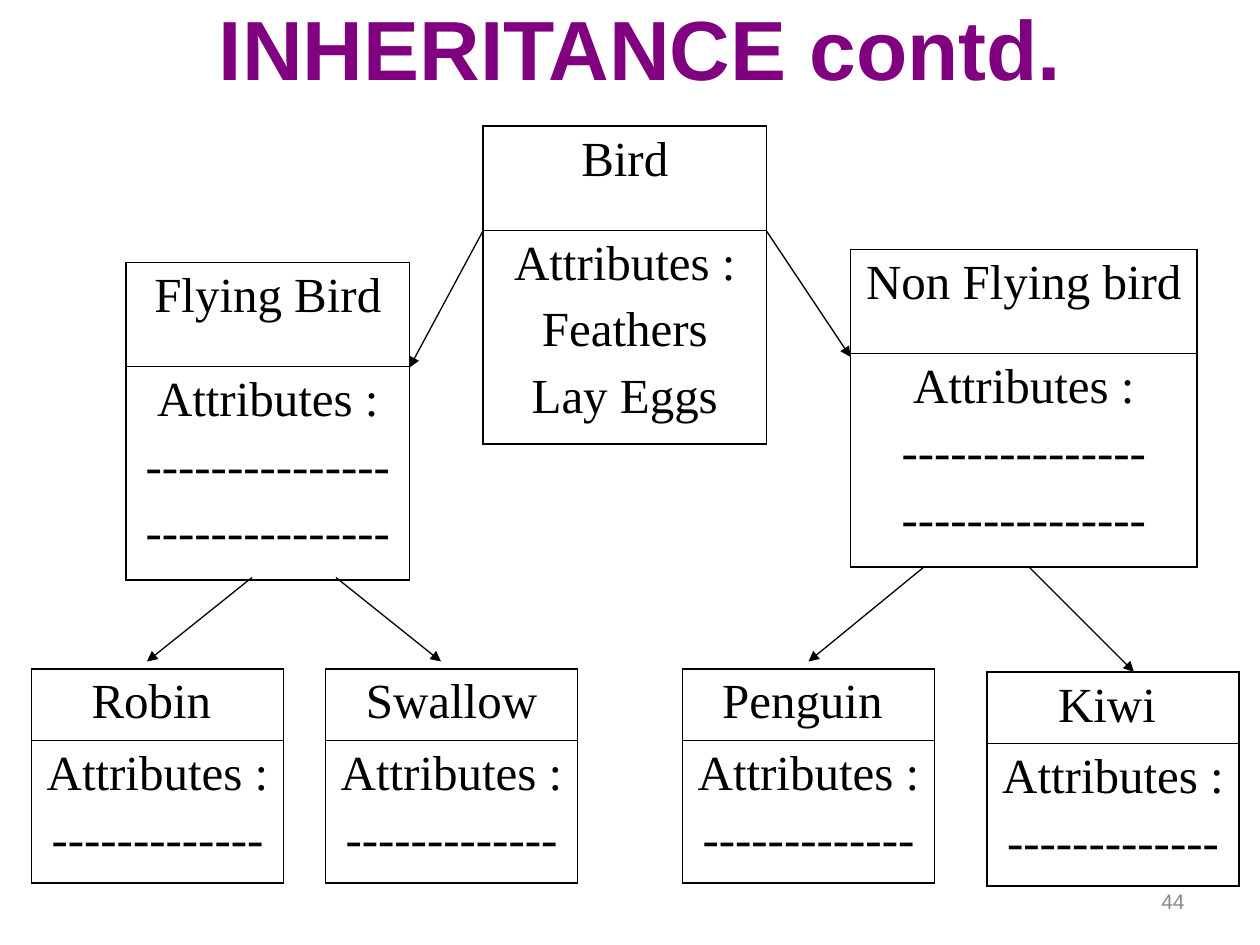
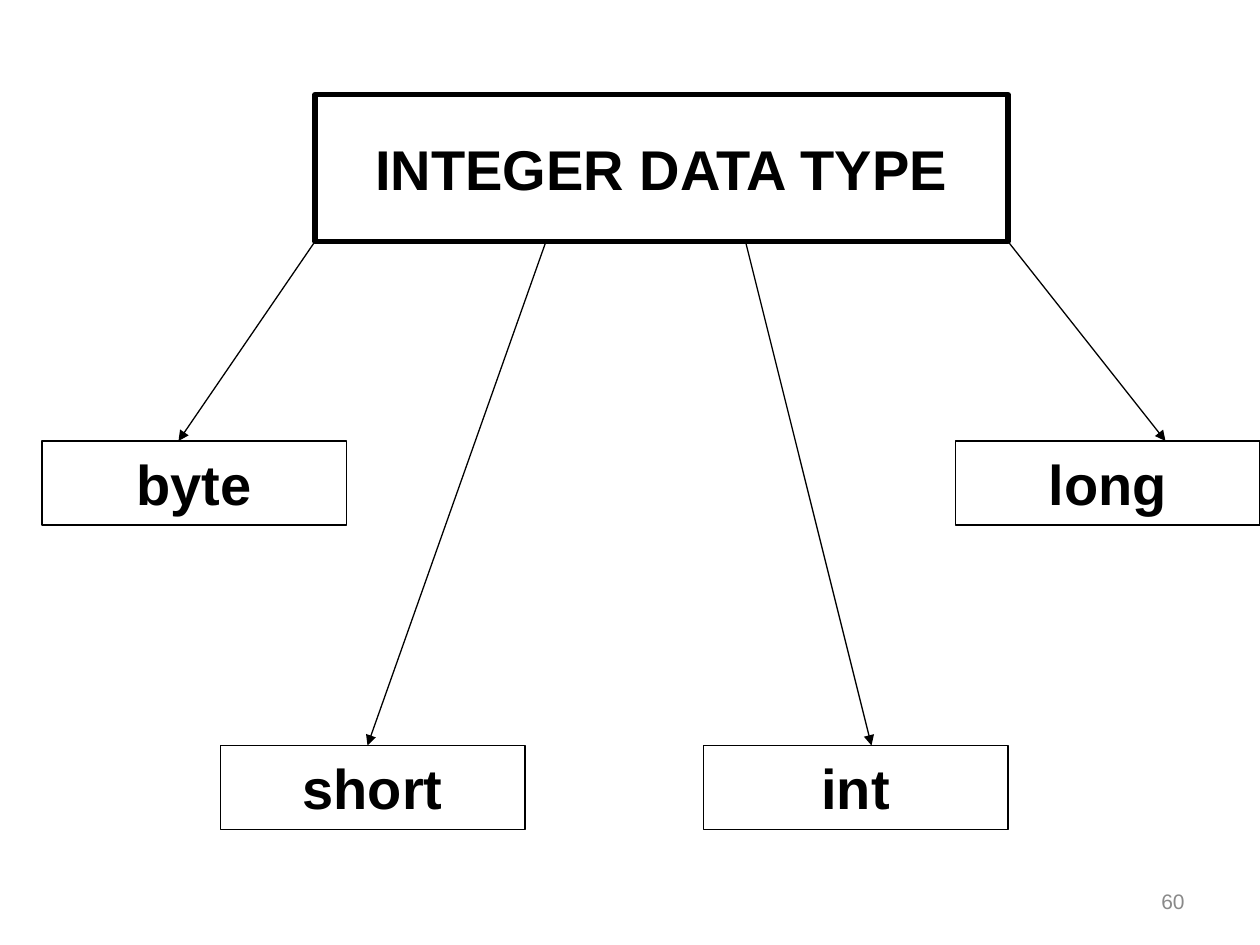
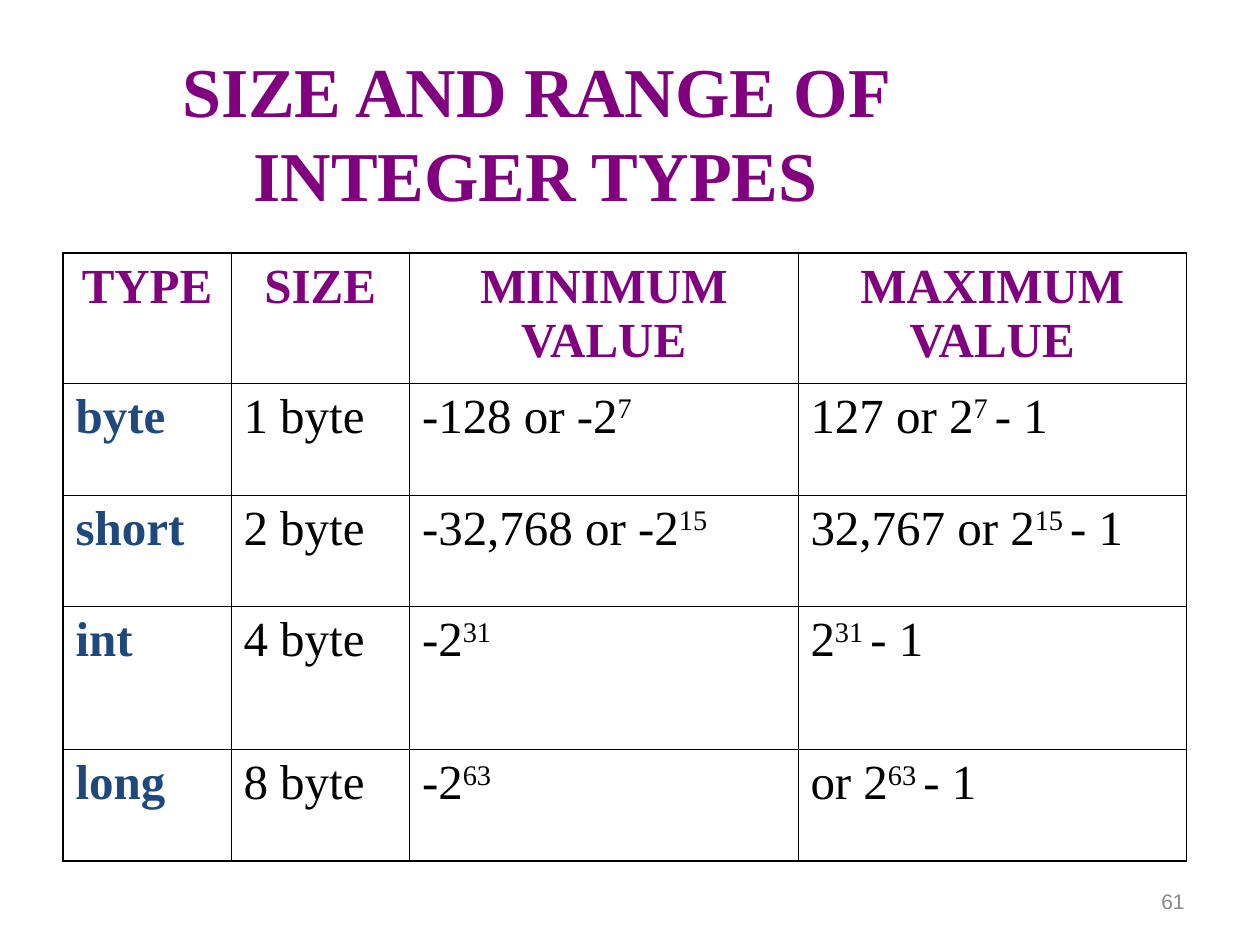
"""Build three slides on inheritance and integer data types."""
import lxml.etree
import pptx
import pptx.dml.color
import pptx.enum.shapes
import pptx.enum.text
import pptx.oxml.ns
import pptx.util

Pt = pptx.util.Pt
ALIGN = pptx.enum.text.PP_ALIGN
MIDDLE = pptx.enum.text.MSO_ANCHOR.MIDDLE
BLACK, PURPLE, NAVY, GREY = "000000", "800080", "1F497D", "898989"
SANS, SERIF = "Arial", "Times New Roman"
OUTER_BORDER, INNER_BORDER = 1.08, 0.45
TITLE_ONLY, BLANK = 5, 6


def rgb(color):
    """Turn a hex string into a colour."""
    return pptx.dml.color.RGBColor.from_string(color)


def add_xml(parent, tag, **attributes):
    """Append a DrawingML element and return it."""
    return lxml.etree.SubElement(parent, pptx.oxml.ns.qn(tag), attributes)


def format_runs(paragraph, size, face, color, bold, align):
    """Align a paragraph and style all its runs."""
    paragraph.alignment = align
    for run in paragraph.runs:
        run.font.size, run.font.name, run.font.bold = Pt(size), face, bold
        run.font.color.rgb = rgb(color)


def add_title(slide, text, box, size, face):
    """Place and style the slide title."""
    title = slide.shapes.title
    title.left, title.top, title.width, title.height = map(Pt, box)
    frame = title.text_frame
    frame.text = text
    frame.auto_size = pptx.enum.text.MSO_AUTO_SIZE.NONE
    frame.vertical_anchor = MIDDLE
    format_runs(frame.paragraphs[0], size, face, PURPLE, True, ALIGN.CENTER)


def add_page_number(slide, number):
    """Write the page number at the lower right."""
    frame = slide.shapes.add_textbox(Pt(516), Pt(500.5), Pt(168), Pt(28.75)).text_frame
    frame.word_wrap = True
    frame.vertical_anchor = MIDDLE
    frame.text = str(number)
    format_runs(frame.paragraphs[0], 12, SANS, GREY, False, ALIGN.RIGHT)


def add_arrow(slide, start, end):
    """Draw a thin arrow between two points."""
    arrow = slide.shapes.add_connector(
        pptx.enum.shapes.MSO_CONNECTOR.STRAIGHT, *map(Pt, start + end))
    arrow.line.width = Pt(0.75)
    arrow.line.color.rgb = rgb(BLACK)
    add_xml(arrow.line._get_or_add_ln(), "a:tailEnd", type="triangle")
    add_xml(arrow._element.spPr, "a:effectLst")


def add_type_box(slide, text, box, border=0.75):
    """Draw an unfilled rectangle with a bold label."""
    rectangle = slide.shapes.add_shape(
        pptx.enum.shapes.MSO_SHAPE.RECTANGLE, *map(Pt, box))
    rectangle.shadow.inherit = False
    rectangle.fill.background()
    rectangle.line.color.rgb = rgb(BLACK)
    rectangle.line.width = Pt(border)
    frame = rectangle.text_frame
    frame.word_wrap = False
    frame.vertical_anchor = MIDDLE
    frame.text = text
    format_runs(frame.paragraphs[0], 32, SANS, BLACK, True, ALIGN.CENTER)


def set_borders(cell, outer_sides):
    """Rule a cell, with heavier lines on the table's outer sides."""
    properties = cell._tc.get_or_add_tcPr()
    for side in "LRTB":
        width = OUTER_BORDER if side in outer_sides else INNER_BORDER
        line = add_xml(properties, f"a:ln{side}", w=str(Pt(width)))
        add_xml(add_xml(line, "a:solidFill"), "a:srgbClr", val=BLACK)
    cell.fill.background()


def add_grid(slide, left, top, widths, heights):
    """Add an unfilled, ruled table."""
    table = slide.shapes.add_table(
        len(heights), len(widths), Pt(left), Pt(top),
        Pt(sum(widths)), Pt(sum(heights))).table
    table.first_row = table.horz_banding = False
    for column, width in zip(table.columns, widths):
        column.width = Pt(width)
    for row, height in zip(table.rows, heights):
        row.height = Pt(height)
    for r in range(len(heights)):
        for c in range(len(widths)):
            edges = {"L": c == 0, "R": c == len(widths) - 1,
                     "T": r == 0, "B": r == len(heights) - 1}
            set_borders(table.cell(r, c), [side for side in edges if edges[side]])
    return table


def fill_cell(cell, text, color=BLACK, bold=False, align=ALIGN.LEFT):
    """Write a cell, raising every second part between carets."""
    cell.margin_left = cell.margin_right = Pt(7.2)
    cell.margin_top = cell.margin_bottom = Pt(3.6)
    frame = cell.text_frame
    for index, line in enumerate(text.split("\n")):
        paragraph = frame.add_paragraph() if index else frame.paragraphs[0]
        paragraph.space_before = Pt(7)
        for part, piece in enumerate(line.split("^")):
            run = paragraph.add_run()
            run.text = piece
            if part % 2:
                run._r.get_or_add_rPr().set("baseline", "30000")
        format_runs(paragraph, 28, SERIF, color, bold, align)


def add_class_box(slide, name, attributes, left, top, width, heights):
    """Draw a class with its name over its attributes."""
    table = add_grid(slide, left, top, [width], heights)
    fill_cell(table.cell(0, 0), name, align=ALIGN.CENTER)
    fill_cell(table.cell(1, 0), "\n".join(["Attributes :"] + attributes),
              align=ALIGN.CENTER)


def build_inheritance(slide):
    """Draw the class tree of birds."""
    add_title(slide, "INHERITANCE contd.", (60, 0, 612, 54), 48, SANS)
    for name, attributes, left, top, width in [
            ("Bird", ["Feathers", "Lay Eggs"], 276, 72, 162),
            ("Flying Bird", ["-" * 15] * 2, 72, 150, 162),
            ("Non Flying bird", ["-" * 15] * 2, 486, 142.5, 198)]:
        add_class_box(slide, name, attributes, left, top, width, [59.5, 122])
    for name, left, top in [("Robin ", 18, 382.25), ("Swallow", 186, 382.25),
                            ("Penguin ", 390, 382.25), ("Kiwi ", 564, 384)]:
        add_class_box(slide, name, ["-" * 13], left, top, 144, [40.75, 81.25])
    for start, end in [((276, 132), (234, 210)), ((438, 132), (486, 204)),
                       ((144, 330), (84, 378)), ((192, 330), (252, 378)),
                       ((528, 324), (462, 378)), ((588, 324), (648, 384))]:
        add_arrow(slide, start, end)


def build_integer_types(slide):
    """Draw the four integer types under their heading."""
    add_type_box(slide, "INTEGER DATA TYPE", (180, 54, 396, 84), 3)
    for name, left, top, start_x, end_x in [
            ("short", 126, 426, 312, 210), ("int", 402, 426, 426, 498),
            ("byte", 24, 252, 180, 102), ("long", 546, 252, 576, 666)]:
        add_type_box(slide, name, (left, top, 174, 48))
        add_arrow(slide, (start_x, 138), (end_x, top))


def build_ranges(slide):
    """Tabulate size and range of the integer types."""
    add_title(slide, "SIZE AND RANGE OF INTEGER TYPES", (0, 30, 612, 90), 40, SERIF)
    table = add_grid(slide, 36, 144.75, [96, 102, 222, 222],
                     [74.5, 63.75, 63.75, 81.75, 63.75])
    for c, heading in enumerate(["TYPE", "SIZE", "MINIMUM VALUE", "MAXIMUM VALUE"]):
        fill_cell(table.cell(0, c), heading, PURPLE, True, ALIGN.CENTER)
    ranges = [("byte", "1 byte", "-128 or -2^7", "127 or 2^7 ^- 1"),
              ("short", "2 byte", "-32,768 or -2^15", "32,767 or 2^15 ^- 1"),
              ("int", "4 byte", "-2^31", "2^31 ^- 1"),
              ("long", "8 byte", "-2^63", "or 2^63 ^- 1")]
    for r, (name, *values) in enumerate(ranges, 1):
        fill_cell(table.cell(r, 0), name, NAVY, True)
        for c, value in enumerate(values, 1):
            fill_cell(table.cell(r, c), value)


def main():
    """Build and save the presentation."""
    deck = pptx.Presentation()
    deck.slide_width, deck.slide_height = Pt(720), Pt(540)
    for build, layout, number in [(build_inheritance, TITLE_ONLY, 44),
                                  (build_integer_types, BLANK, 60),
                                  (build_ranges, TITLE_ONLY, 61)]:
        slide = deck.slides.add_slide(deck.slide_layouts[layout])
        add_page_number(slide, number)
        build(slide)
    deck.save("out.pptx")


if __name__ == "__main__":
    main()
